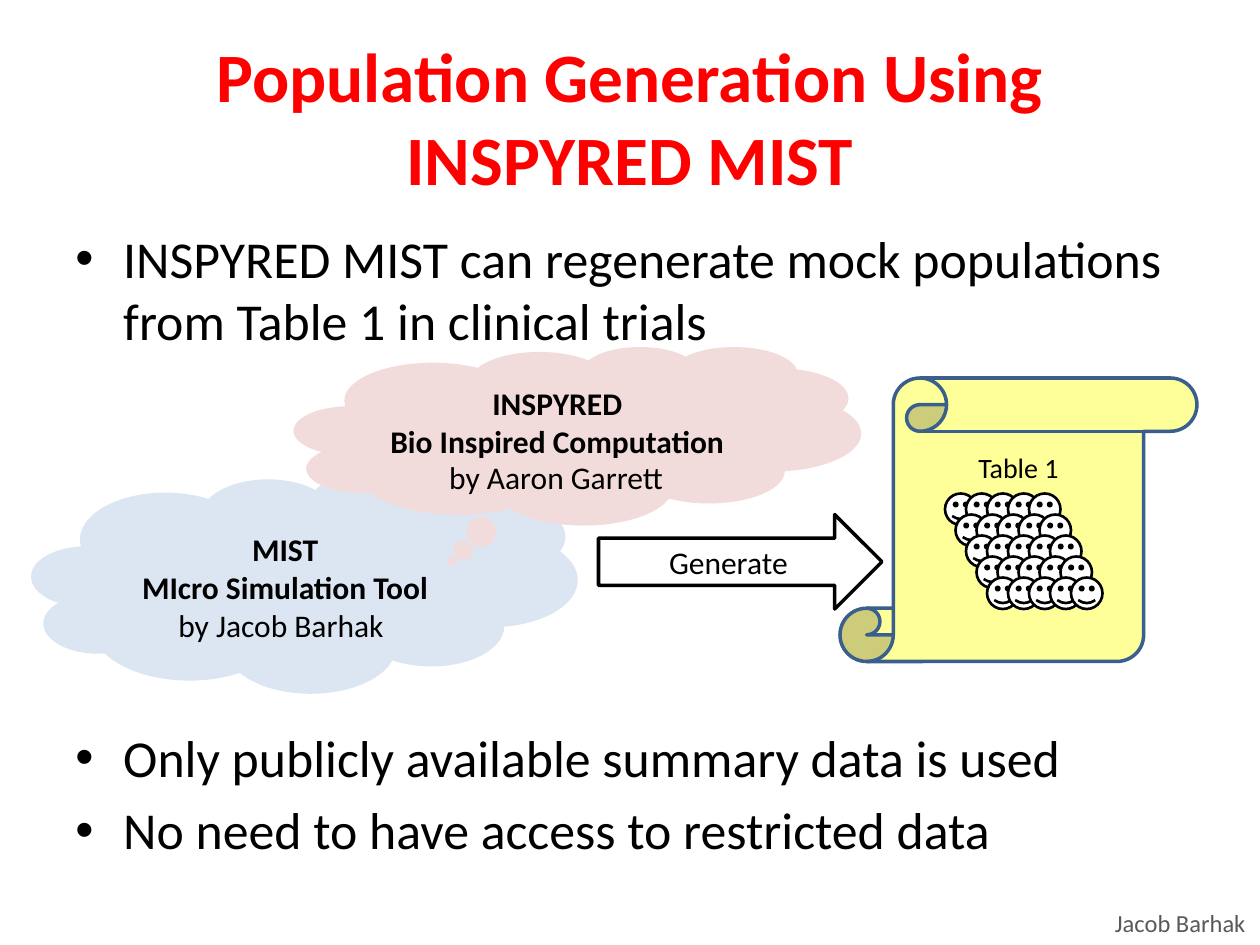
from lxml.etree import SubElement
from pptx import Presentation
from pptx.dml.color import RGBColor
from pptx.enum.shapes import MSO_SHAPE
from pptx.enum.text import MSO_ANCHOR, PP_ALIGN
from pptx.oxml.ns import qn
from pptx.util import Inches, Pt

RED = RGBColor(0xFF, 0, 0)
BLACK = RGBColor(0, 0, 0)
WHITE = RGBColor(0xFF, 0xFF, 0xFF)
GREY = RGBColor(0x59, 0x59, 0x59)
BLUE = RGBColor(0xDC, 0xE6, 0xF2)
PINK = RGBColor(0xF2, 0xDC, 0xDB)
CREAM = RGBColor(0xFF, 0xFF, 0x99)
NAVY = RGBColor(0x3A, 0x5F, 0x8C)
COLS = 120  # grid of square cells, 120 by 90


class Deck:
    font = "Calibri"

    def __init__(self):
        self.prs = Presentation()
        self.prs.slide_width, self.prs.slide_height = Inches(10), Inches(7.5)
        self.cell = self.prs.slide_width / COLS
        self.slide = self.prs.slides.add_slide(self.prs.slide_layouts[5])

    def place(self, *box):
        return [round(n * self.cell) for n in box]

    def run(self, para, text, size, color=BLACK, bold=False):
        run = para.add_run()
        run.text = text
        font = run.font
        font.name, font.size, font.bold = self.font, Pt(size), bold
        font.color.rgb = color

    def lines(self, frame, texts, size, align=PP_ALIGN.CENTER, **look):
        """Write one paragraph per text and return the paragraphs."""
        paras = []
        for i, text in enumerate(texts):
            para = frame.add_paragraph() if i else frame.paragraphs[0]
            para.alignment = align
            self.run(para, text, size, **look)
            paras.append(para)
        return paras

    def title(self, box, first, second):
        shape = self.slide.shapes.title
        shape.left, shape.top, shape.width, shape.height = self.place(*box)
        shape.text_frame.vertical_anchor = MSO_ANCHOR.MIDDLE
        para = shape.text_frame.paragraphs[0]
        para.alignment = PP_ALIGN.CENTER
        self.run(para, first, 39.6, RED, True)
        para.add_line_break()
        self.run(para, second, 39.6, RED, True)

    def label(self, box, text, size=18, color=BLACK):
        frame = self.slide.shapes.add_textbox(*self.place(*box)).text_frame
        frame.word_wrap = False
        self.lines(frame, [text], size, PP_ALIGN.LEFT, color=color)

    def bullets(self, box, texts):
        frame = self.slide.shapes.add_textbox(*self.place(*box)).text_frame
        frame.word_wrap = True
        for i, para in enumerate(self.lines(frame, texts, 29.6, PP_ALIGN.LEFT)):
            para.space_before = Pt(6 if i else 0)
            props = para._p.get_or_add_pPr()
            props.set("marL", str(Inches(0.38)))
            props.set("indent", str(-Inches(0.38)))
            SubElement(props, qn("a:buFont"), typeface="Arial")
            SubElement(props, qn("a:buChar"), char="•")

    def shape(self, kind, box, fill, line=None, width=2, adjust=()):
        shape = self.slide.shapes.add_shape(kind, *self.place(*box))
        shape.shadow.inherit = False
        shape.fill.solid()
        shape.fill.fore_color.rgb = fill
        if line is None:
            shape.line.fill.background()
        else:
            shape.line.color.rgb = line
            shape.line.width = Pt(width)
        for i, value in enumerate(adjust):
            shape.adjustments[i] = value
        return shape

    def cloud(self, box, fill, tail, texts):
        shape = self.shape(MSO_SHAPE.CLOUD_CALLOUT, box, fill, adjust=tail)
        frame = shape.text_frame
        frame.margin_bottom = Inches(0.2)  # lifts the text above the byline
        self.lines(frame, texts, 18, bold=True)

    def scroll(self, box, text):
        shape = self.shape(MSO_SHAPE.VERTICAL_SCROLL, box, CREAM, NAVY,
                           adjust=[0.188])
        frame = shape.text_frame
        frame.vertical_anchor = MSO_ANCHOR.TOP
        frame.margin_top = Inches(0.15)
        self.lines(frame, [text], 16)

    def crowd(self, left, top, count):
        """Draw a slanted square block of overlapping faces."""
        for row in range(count):
            for col in range(count):
                box = left + 2 * col + row, top + 2 * row, 3, 3
                self.shape(MSO_SHAPE.SMILEY_FACE, box, WHITE, BLACK, 1.5)

    def arrow(self, box, text):
        shape = self.shape(MSO_SHAPE.RIGHT_ARROW, box, WHITE, BLACK)
        self.lines(shape.text_frame, [text], 18)


def main():
    deck = Deck()
    deck.label((105, 85.9, 15, 4.1), "Jacob Barhak", 14, GREY)
    deck.title((6, 3.6, 108, 15), "Population Generation Using", "INSPYRED MIST")
    deck.bullets((6, 21, 108, 13), [
        "INSPYRED MIST can regenerate mock populations from Table 1 in clinical trials"])
    deck.bullets((6, 68.5, 108, 14), [
        "Only publicly available summary data is used",
        "No need to have access to restricted data"])
    deck.cloud((3, 45, 52, 21), BLUE, (0.018, -0.008),
               ["MIST", "MIcro Simulation Tool"])
    deck.cloud((28, 33, 54, 17), PINK, (-0.221, 0.704),
               ["INSPYRED", "Bio Inspired Computation"])
    deck.scroll((80, 36, 34, 27), "Table 1")
    deck.crowd(90, 47, 5)
    deck.arrow((57, 49, 27, 9), "Generate")
    deck.label((41.6, 43, 23.2, 4.8), "by Aaron Garrett")
    deck.label((15.8, 57.1, 22.2, 4.8), "by Jacob Barhak")
    deck.prs.save("out.pptx")


if __name__ == "__main__":
    main()
